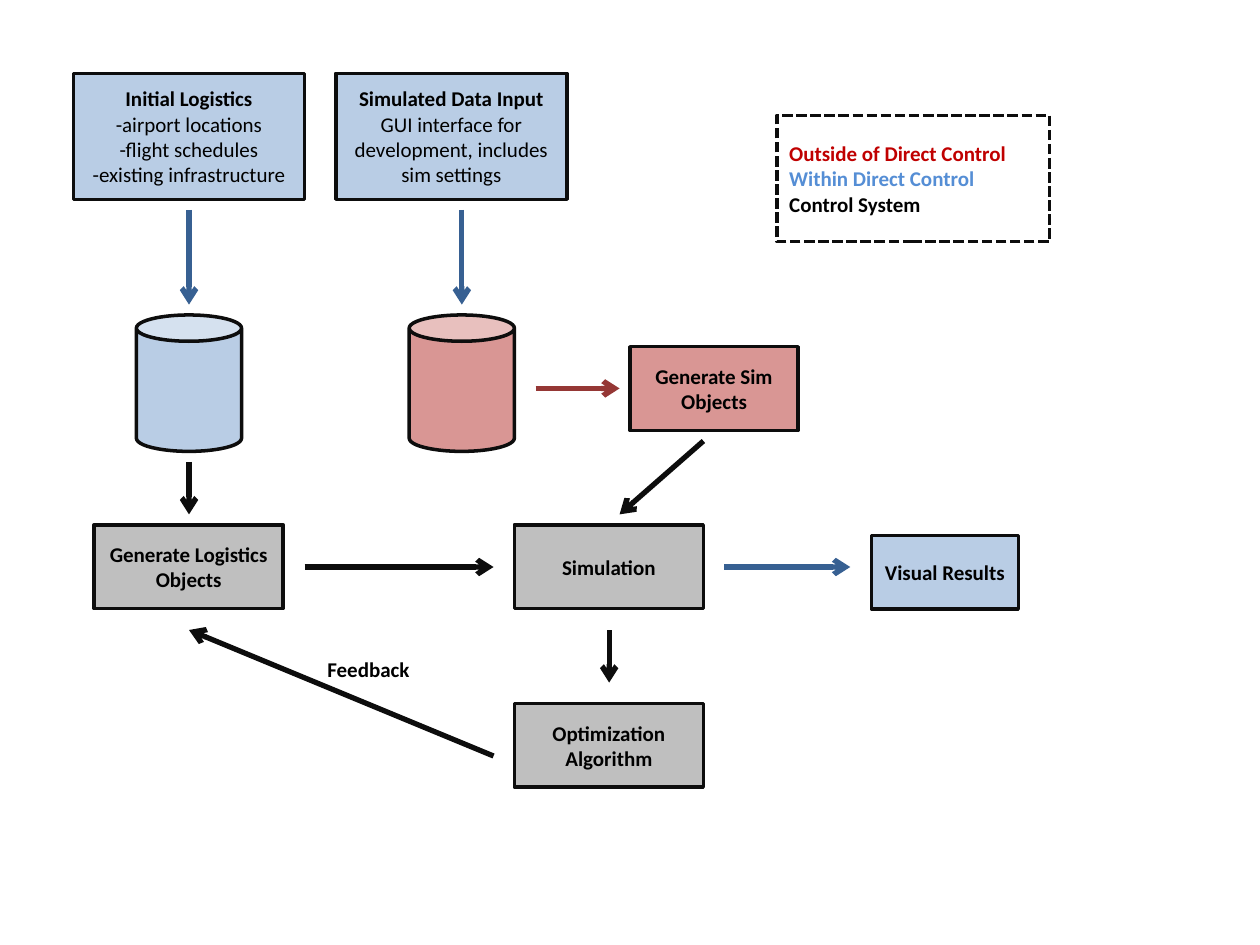
"""Build a flow chart slide of a logistics simulation and its control system."""
from lxml.etree import SubElement
from pptx import Presentation
from pptx.dml.color import RGBColor
from pptx.enum.dml import MSO_LINE
from pptx.enum.shapes import MSO_CONNECTOR, MSO_SHAPE
from pptx.enum.text import MSO_ANCHOR, MSO_AUTO_SIZE, PP_ALIGN
from pptx.oxml.ns import qn
from pptx.util import Cm, Pt

BLACK, INK, WHITE = "000000", "0D0D0D", "FFFFFF"
BLUE, RED, GRAY = "B9CDE5", "D99694", "BFBFBF"
DARK_BLUE, DARK_RED = "376092", "953735"


def paint(fill, color):
    fill.solid()
    fill.fore_color.rgb = RGBColor.from_string(color)


def write_line(text_frame, text, bold=True, color=BLACK, align=PP_ALIGN.CENTER):
    paragraph = text_frame.paragraphs[-1]
    if paragraph.runs:
        paragraph = text_frame.add_paragraph()
    paragraph.alignment = align
    run = paragraph.add_run()
    run.text = text
    run.font.name = "Calibri"
    run.font.size = Pt(12)
    run.font.bold = bold
    paint(run.font.fill, color)


presentation = Presentation()
presentation.slide_width = Cm(25.4)
presentation.slide_height = Cm(19.05)
slide = presentation.slides.add_slide(presentation.slide_layouts[6])

logistics_details = ["-airport locations", "-flight schedules", "-existing infrastructure"]
input_details = ["GUI interface for development, includes sim settings"]
box, can = MSO_SHAPE.RECTANGLE, MSO_SHAPE.CAN
nodes = [
    (box, 1.48, 1.48, 4.66, 2.54, BLUE, "Initial Logistics", logistics_details),
    (box, 6.77, 1.48, 4.66, 2.54, BLUE, "Simulated Data Input", input_details),
    (can, 2.75, 6.35, 2.12, 2.75, BLUE, "", []),
    (can, 8.25, 6.35, 2.12, 2.75, RED, "", []),
    (box, 12.7, 6.99, 3.39, 1.69, RED, "Generate Sim Objects", []),
    (box, 1.9, 10.58, 3.81, 1.69, GRAY, "Generate Logistics Objects", []),
    (box, 10.37, 10.58, 3.81, 1.69, GRAY, "Simulation", []),
    (box, 17.57, 10.8, 2.96, 1.48, BLUE, "Visual Results", []),
    (box, 10.37, 14.18, 3.81, 1.69, GRAY, "Optimization Algorithm", []),
    (box, 15.66, 2.33, 5.5, 2.54, WHITE, "", []),
]
for kind, left, top, width, height, color, heading, details in nodes:
    shape = slide.shapes.add_shape(kind, Cm(left), Cm(top), Cm(width), Cm(height))
    shape.shadow.inherit = False
    paint(shape.fill, color)
    paint(shape.line.fill, INK)
    shape.line.width = Pt(2)
    shape.text_frame.vertical_anchor = MSO_ANCHOR.MIDDLE
    if heading:
        write_line(shape.text_frame, heading)
    for detail in details:
        write_line(shape.text_frame, detail, bold=False)

legend = shape
legend.line.dash_style = MSO_LINE.SQUARE_DOT
for label, color in [
    ("Outside of Direct Control", "C00000"),
    ("Within Direct Control", "558ED5"),
    ("Control System", BLACK),
]:
    write_line(legend.text_frame, label, color=color, align=PP_ALIGN.LEFT)

arrows = [
    (3.81, 4.23, 3.81, 6.14, DARK_BLUE),
    (9.31, 4.23, 9.31, 6.14, DARK_BLUE),
    (10.8, 7.83, 12.49, 7.83, DARK_RED),
    (3.81, 9.31, 3.81, 10.37, INK),
    (14.18, 8.89, 12.49, 10.37, INK),
    (6.14, 11.43, 9.95, 11.43, INK),
    (14.6, 11.43, 17.14, 11.43, DARK_BLUE),
    (12.28, 12.7, 12.28, 13.76, INK),
    (9.95, 15.24, 3.81, 12.7, INK),
]
for start_x, start_y, end_x, end_y, color in arrows:
    arrow = slide.shapes.add_connector(
        MSO_CONNECTOR.STRAIGHT, Cm(start_x), Cm(start_y), Cm(end_x), Cm(end_y)
    )
    paint(arrow.line.fill, color)
    arrow.line.width = Pt(3)
    properties = arrow.element.spPr
    SubElement(properties.find(qn("a:ln")), qn("a:tailEnd"), type="arrow")
    SubElement(properties, qn("a:effectLst"))

feedback = slide.shapes.add_textbox(Cm(6.35), Cm(13.12), Cm(5.5), Cm(0.77))
feedback.text_frame.word_wrap = True
feedback.text_frame.auto_size = MSO_AUTO_SIZE.SHAPE_TO_FIT_TEXT
write_line(feedback.text_frame, "Feedback", align=PP_ALIGN.LEFT)

presentation.save("out.pptx")
